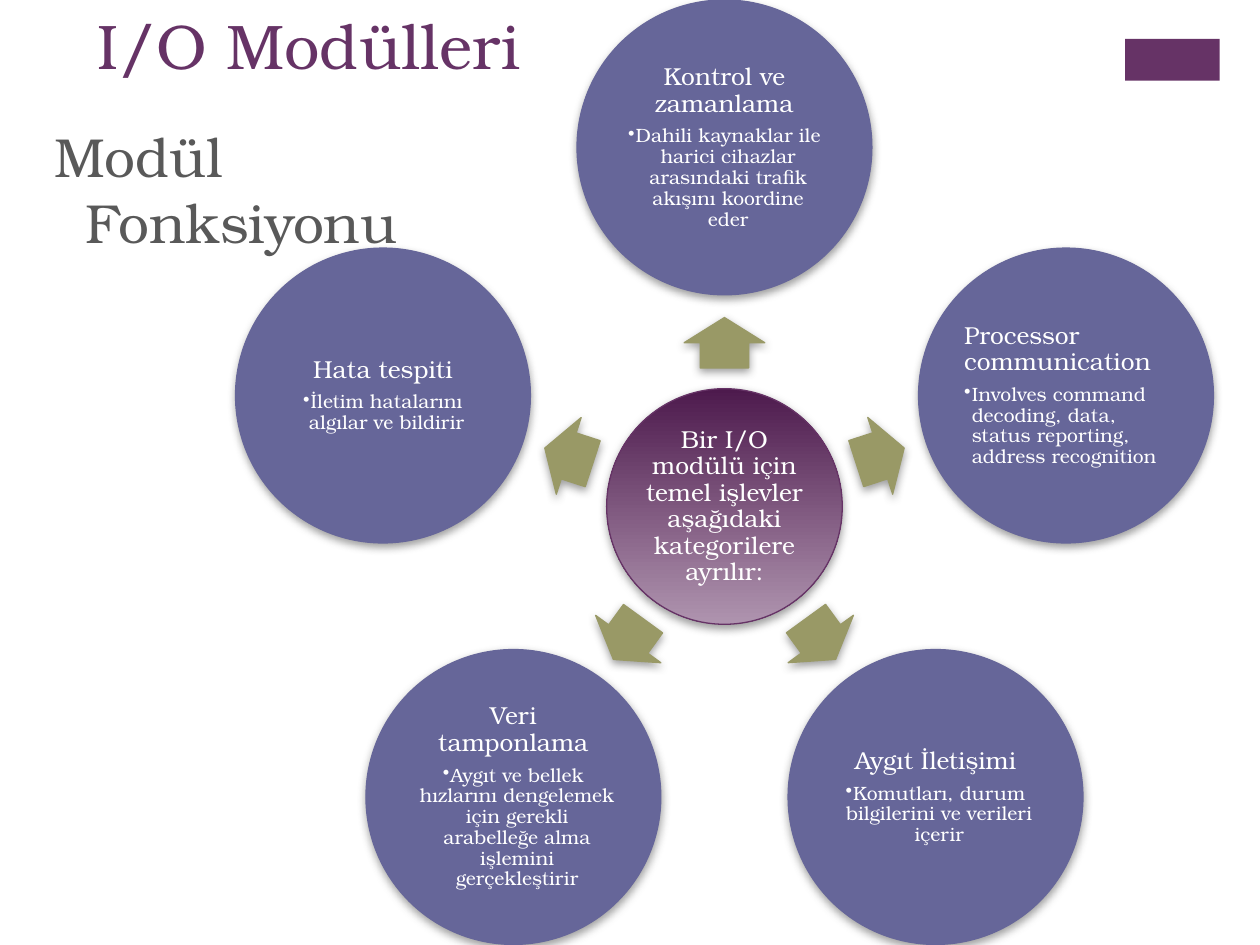
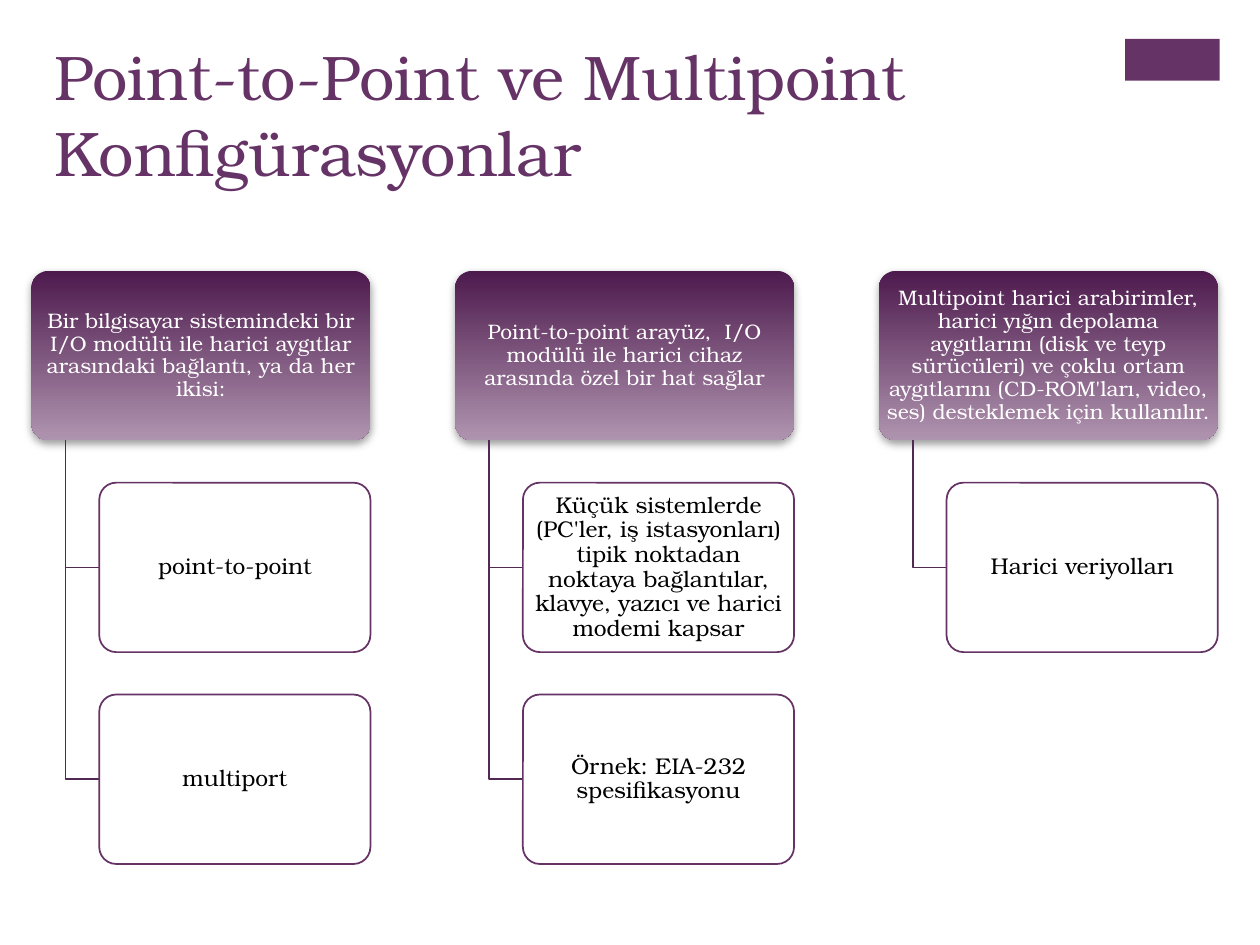
from dataclasses import dataclass
from math import cos, radians, sin

from lxml.etree import SubElement
from pptx import Presentation
from pptx.dml.color import RGBColor
from pptx.enum.shapes import MSO_SHAPE
from pptx.enum.text import MSO_ANCHOR, MSO_AUTO_SIZE, PP_ALIGN
from pptx.oxml.ns import qn
from pptx.util import Inches, Pt

MODULE_TITLE = "I/O Modülleri"
MODULE_SUBTITLE = "Modül Fonksiyonu"
HUB = "Bir I/O modülü için temel işlevler aşağıdaki kategorilere ayrılır:"
# Clockwise from the top: heading, detail, alignment
FUNCTIONS = [
    ("Kontrol ve zamanlama",
     "Dahili kaynaklar ile harici cihazlar arasındaki trafik akışını koordine eder",
     PP_ALIGN.CENTER),
    ("Processor communication",
     "Involves command decoding, data, status reporting, address recognition",
     PP_ALIGN.LEFT),
    ("Aygıt İletişimi",
     "Komutları, durum bilgilerini ve verileri içerir",
     PP_ALIGN.CENTER),
    ("Veri tamponlama",
     "Aygıt ve bellek hızlarını dengelemek için gerekli arabelleğe alma "
     "işlemini gerçekleştirir",
     PP_ALIGN.CENTER),
    ("Hata tespiti",
     "İletim hatalarını algılar ve bildirir",
     PP_ALIGN.CENTER),
]

CONFIGURATION_TITLE = "Point-to-Point ve Multipoint Konfigürasyonlar"
CONFIGURATIONS = [
    ("Bir bilgisayar sistemindeki bir I/O modülü ile harici aygıtlar "
     "arasındaki bağlantı, ya da her ikisi:",
     ["point-to-point", "multiport"]),
    ("Point-to-point arayüz,  I/O modülü ile harici cihaz arasında özel bir "
     "hat sağlar",
     ["Küçük sistemlerde (PC'ler, iş istasyonları) tipik noktadan noktaya "
      "bağlantılar, klavye, yazıcı ve harici modemi kapsar",
      "Örnek: EIA-232 spesifikasyonu"]),
    ("Multipoint harici arabirimler, harici yığın depolama aygıtlarını (disk "
     "ve teyp sürücüleri) ve çoklu ortam aygıtlarını (CD-ROM'ları, video, ses) "
     "desteklemek için kullanılır.",
     ["Harici veriyolları"]),
]


@dataclass(frozen=True)
class Theme:
    font: str = "TeX Gyre Bonum"
    plum: str = "663366"
    dark_plum: str = "4D1A4D"
    pale_plum: str = "AF94AF"
    branch: str = "522952"
    indigo: str = "666699"
    olive: str = "999966"
    gray: str = "595959"
    shadow: str = "808080"
    white: str = "FFFFFF"
    black: str = "000000"
    title: float = 36
    subtitle: float = 31.4
    heading: float = 14
    detail: float = 11
    parent: float = 12
    child: float = 13


THEME = Theme()


def rgb(color):
    return RGBColor.from_string(color)


def style_text(para, size, color):
    for span in para.runs:
        span.font.name = THEME.font
        span.font.size = Pt(size)
        span.font.color.rgb = rgb(color)


def hang(para, indent, bullet=None):
    """Give the paragraph a hanging indent in inches, with or without a bullet."""
    properties = para._p.get_or_add_pPr()
    properties.set("marL", str(Inches(indent)))
    properties.set("indent", str(-Inches(indent)))
    if bullet:
        SubElement(properties, qn("a:buChar"), char=bullet)
    else:
        SubElement(properties, qn("a:buNone"))


def add_soft_shadow(shape):
    effects = SubElement(shape._element.spPr, qn("a:effectLst"))
    shadow = SubElement(effects, qn("a:outerShdw"), blurRad=str(Pt(5)),
                        dist=str(Pt(2)), dir="5400000", rotWithShape="0")
    color = SubElement(shadow, qn("a:srgbClr"), val=THEME.shadow)
    SubElement(color, qn("a:alpha"), val="75000")


def add_box(page, kind, place, fill, line=None, line_width=0.75, shadow=True):
    """Add a preset shape; a pair of fill colours makes a downward gradient."""
    box = page.shapes.add_shape(kind, *map(Inches, place))
    if isinstance(fill, tuple):
        box.fill.gradient()
        box.fill.gradient_angle = 270
        for stop, color in zip(box.fill.gradient_stops, fill):
            stop.color.rgb = rgb(color)
    else:
        box.fill.solid()
        box.fill.fore_color.rgb = rgb(fill)
    if line:
        box.line.color.rgb = rgb(line)
        box.line.width = Pt(line_width)
    else:
        box.line.fill.background()
    if shadow:
        add_soft_shadow(box)
    else:
        box.shadow.inherit = False
    return box


def write_in(box, text, size, color=THEME.white, align=PP_ALIGN.CENTER, detail=None):
    frame = box.text_frame
    frame.word_wrap = True
    frame.vertical_anchor = MSO_ANCHOR.MIDDLE
    frame.margin_left = frame.margin_right = Inches(0.02)
    frame.margin_top = frame.margin_bottom = Inches(0.02)
    lines = [(text, size, 0.35)]
    if detail:
        lines.append((detail, THEME.detail, 0.15))
    for level, (words, points, gap) in enumerate(lines):
        para = frame.add_paragraph() if level else frame.paragraphs[0]
        para.text = words
        para.level = level
        if level:
            hang(para, 0.06, "•")
        para.alignment = align
        para.line_spacing = 0.9
        para.space_after = Pt(round(points * gap, 1))
        style_text(para, points, color)


def fill_placeholder(holder, place, text, size, color):
    holder.left, holder.top, holder.width, holder.height = map(Inches, place)
    frame = holder.text_frame
    frame.text = text
    frame.word_wrap = True
    frame.auto_size = MSO_AUTO_SIZE.NONE
    frame.vertical_anchor = MSO_ANCHOR.TOP
    para = frame.paragraphs[0]
    para.alignment = PP_ALIGN.LEFT
    para.space_before = Pt(0)
    style_text(para, size, color)
    return para


def add_page(deck, layout, title, title_place):
    page = deck.slides.add_slide(deck.slide_layouts.get_by_name(layout))
    add_box(page, MSO_SHAPE.RECTANGLE, (8.93, 0.31, 0.75, 0.33), THEME.plum, shadow=False)
    fill_placeholder(page.shapes.title, title_place, title, THEME.title, THEME.plum)
    return page


def build_functions(deck):
    page = add_page(deck, "Title and Content", MODULE_TITLE, (0.67, 0, 3.62, 1.09))
    subtitle = fill_placeholder(page.placeholders[1], (0.33, 0.92, 4.08, 0.85),
                                MODULE_SUBTITLE, THEME.subtitle, THEME.gray)
    hang(subtitle, 0.25)

    center_x, center_y = 5.75, 4.02
    ring, arrow_ring = 2.85, 1.3

    def around(angle, radius, width, height):
        """Place a box of this size on a circle about the hub."""
        x = center_x + radius * cos(radians(angle))
        y = center_y + radius * sin(radians(angle))
        return x - width / 2, y - height / 2, width, height

    hub = add_box(page, MSO_SHAPE.OVAL, around(0, 0, 1.87, 1.87),
                  (THEME.dark_plum, THEME.pale_plum), THEME.plum)
    write_in(hub, HUB, THEME.heading)
    for index, (heading, detail, align) in enumerate(FUNCTIONS):
        angle = index * 360 / len(FUNCTIONS) - 90
        arrow = add_box(page, MSO_SHAPE.RIGHT_ARROW, around(angle, arrow_ring, 0.4, 0.64),
                        THEME.olive, THEME.olive)
        arrow.adjustments[0], arrow.adjustments[1] = 0.6, 0.5
        arrow.rotation = angle % 360
        circle = add_box(page, MSO_SHAPE.OVAL, around(angle, ring, 2.34, 2.34),
                         THEME.indigo, THEME.indigo)
        write_in(circle, heading, THEME.heading, align=align, detail=detail)


def add_branch(page, x, top, bottom, right):
    outline = page.shapes.build_freeform(Inches(x), Inches(top))
    corner, end = (Inches(x), Inches(bottom)), (Inches(right), Inches(bottom))
    outline.add_line_segments([corner, end], close=False)
    branch = outline.convert_to_shape()
    branch.fill.background()
    branch.line.color.rgb = rgb(THEME.branch)
    branch.line.width = Pt(1)
    branch.shadow.inherit = False


def build_configurations(deck):
    page = add_page(deck, "Title Only", CONFIGURATION_TITLE, (0.33, 0.25, 8.26, 1.33))
    left, top, width = 0.25, 2.15, 2.69
    height, indent = width / 2, width / 10
    column_step, row_step = width * 1.25, height * 1.25
    for column, (parent, children) in enumerate(CONFIGURATIONS):
        x = left + column * column_step
        box = add_box(page, MSO_SHAPE.ROUNDED_RECTANGLE, (x, top, width, height),
                      (THEME.dark_plum, THEME.pale_plum))
        box.adjustments[0] = 0.1
        write_in(box, parent, THEME.parent)
        child_x = x + 2 * indent
        for row, child in enumerate(children, start=1):
            y = top + row * row_step
            add_branch(page, x + indent, top + height, y + height / 2, child_x)
            box = add_box(page, MSO_SHAPE.ROUNDED_RECTANGLE,
                          (child_x, y, width - 2 * indent, height),
                          THEME.white, THEME.plum, line_width=1, shadow=False)
            box.adjustments[0] = 0.1
            write_in(box, child, THEME.child, THEME.black)


def main():
    deck = Presentation()
    deck.slide_width, deck.slide_height = Inches(10), Inches(7.5)
    build_functions(deck)
    build_configurations(deck)
    deck.save("out.pptx")


if __name__ == "__main__":
    main()
